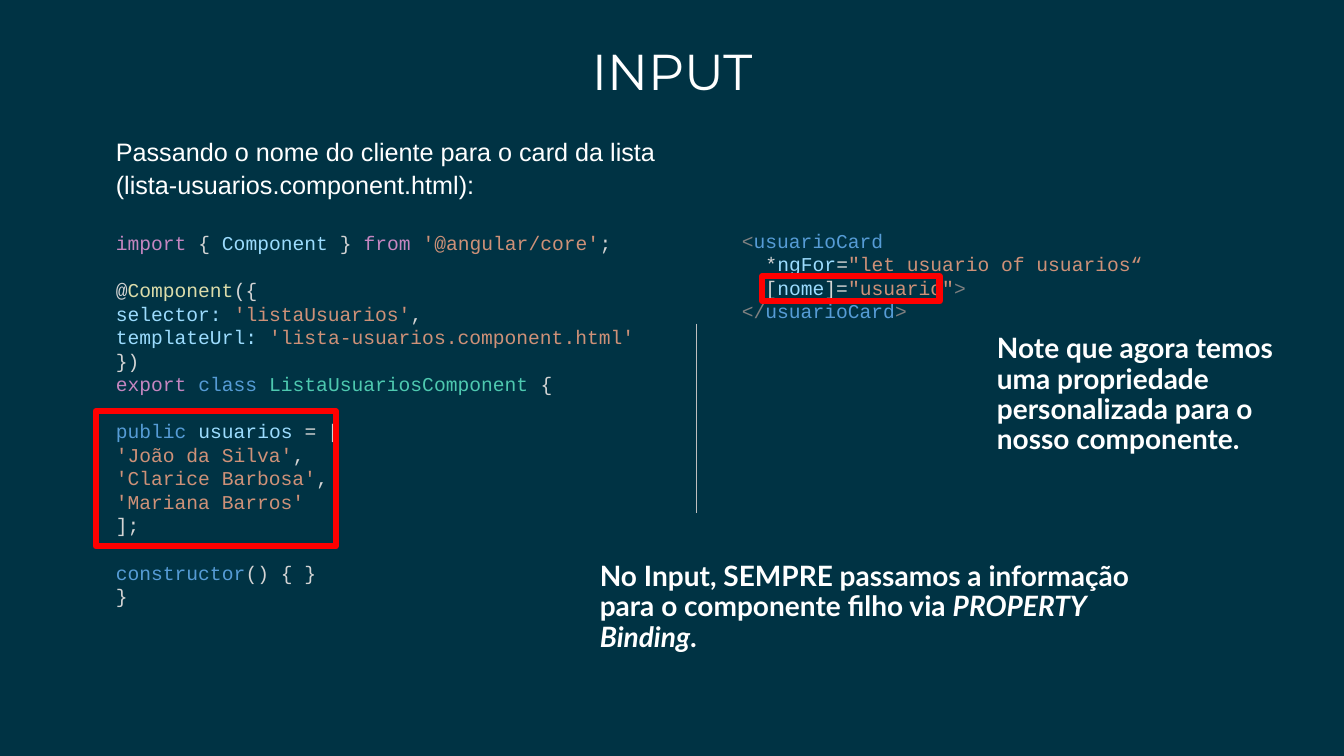
from dataclasses import dataclass
from typing import NamedTuple

from lxml import etree
from pptx import Presentation
from pptx.dml.color import RGBColor
from pptx.enum.shapes import MSO_CONNECTOR, MSO_SHAPE
from pptx.enum.text import MSO_ANCHOR, PP_ALIGN
from pptx.oxml.ns import qn
from pptx.util import Inches, Pt

CENTER = PP_ALIGN.CENTER
MIDDLE = MSO_ANCHOR.MIDDLE
RECTANGLE = MSO_SHAPE.RECTANGLE
STRAIGHT = MSO_CONNECTOR.STRAIGHT

WIDTH, HEIGHT = Inches(13.33), Inches(7.5)
LEFT_MARGIN, FULL_WIDTH = 7.88, 84.25
BLANK_LINE = 16.9

# Colours of the page and of the code syntax
BACKGROUND, WHITE, RED, GRAY = "003344", "FFFFFF", "FF0000", "BFBFBF"
KEYWORD, PLAIN, NAME, STRING = "C586C0", "D4D4D4", "9CDCFE", "CE9178"
DECORATOR, RESERVED, TYPE, BRACKET = "DCDCAA", "569CD6", "4EC9B0", "808080"


class Area(NamedTuple):
    """Percentages of the slide's width and height."""
    left: float
    top: float
    width: float
    height: float


class Span(NamedTuple):
    text: str
    color: str = WHITE
    italic: bool = False


@dataclass
class Line:
    spans: list[Span]
    before: float = 0


@dataclass
class Style:
    font: str
    size: float
    bold: bool = False
    spacing: float = 1.0


@dataclass
class TextBlock:
    area: Area
    style: Style
    lines: list[Line]


CODE = Style("Courier New", 14)
INTRO = Style("Arial", 18, spacing=1.1)
NOTE = Style("Lato", 20, bold=True, spacing=0.9)
TITLE = Style("Montserrat", 36, spacing=0.8)

TITLE_AREA = Area(LEFT_MARGIN, 5.73, FULL_WIDTH, 7.73)
HIGHLIGHTS = [Area(7.13, 54.4, 17.85, 17.87), Area(56.71, 36.53, 13.2, 3.33)]
DIVIDER = Area(51.84, 42.8, 0, 25.07)

COMPONENT_CODE = [
    Line([Span("import", KEYWORD), Span(" { ", PLAIN), Span("Component", NAME),
          Span(" } ", PLAIN), Span("from ", KEYWORD),
          Span("'@angular/core'", STRING), Span(";", PLAIN)]),
    Line([Span("@", PLAIN), Span("Component", DECORATOR), Span("({", PLAIN)],
         BLANK_LINE),
    Line([Span("selector: ", NAME), Span("'listaUsuarios'", STRING),
          Span(",", PLAIN)]),
    Line([Span("templateUrl: ", NAME),
          Span("'lista-usuarios.component.html'", STRING)]),
    Line([Span("})", PLAIN)]),
    Line([Span("export ", KEYWORD), Span("class ", RESERVED),
          Span("ListaUsuariosComponent", TYPE), Span(" {", PLAIN)]),
    Line([Span("public ", RESERVED), Span("usuarios", NAME),
          Span(" = [", PLAIN)], BLANK_LINE),
    Line([Span("'João da Silva'", STRING), Span(",", PLAIN)]),
    Line([Span("'Clarice Barbosa'", STRING), Span(",", PLAIN)]),
    Line([Span("'Mariana Barros'", STRING)]),
    Line([Span("];", PLAIN)]),
    Line([Span("constructor", RESERVED), Span("() { }", PLAIN)], BLANK_LINE),
    Line([Span("}", PLAIN)]),
]

TEMPLATE_CODE = [
    Line([Span("<", BRACKET), Span("usuarioCard", RESERVED)]),
    Line([Span("  *", PLAIN), Span("ngFor", NAME), Span("=", PLAIN),
          Span('"let usuario of usuarios“', STRING)]),
    Line([Span("  [", PLAIN), Span("nome", NAME), Span("]=", PLAIN),
          Span('"usuario"', STRING), Span(">", BRACKET)]),
    Line([Span("</", BRACKET), Span("usuarioCard", RESERVED),
          Span(">", BRACKET)]),
]

BLOCKS = [
    TextBlock(Area(LEFT_MARGIN, 29.87, 41.26, 51.6), CODE, COMPONENT_CODE),
    TextBlock(Area(LEFT_MARGIN, 17, FULL_WIDTH, 9.47), INTRO, [
        Line([Span("Passando o nome do cliente para o card da lista")]),
        Line([Span("(lista-usuarios.component.html):")])]),
    TextBlock(Area(54.46, 29.6, 44.11, 13.87), CODE, TEMPLATE_CODE),
    TextBlock(Area(73.44, 43.6, 25.43, 17.6), NOTE, [
        Line([Span("Note que agora temos uma propriedade personalizada "
                   "para o nosso componente.")])]),
    TextBlock(Area(43.89, 73.73, 43.36, 9.6), NOTE, [
        Line([Span("No Input, SEMPRE passamos a informação para o "
                   "componente filho via "),
              Span("PROPERTY Binding", italic=True), Span(".")])]),
]


def rgb(color: str) -> RGBColor:
    return RGBColor.from_string(color)


def place(area: Area) -> tuple[int, int, int, int]:
    return (round(WIDTH * area.left / 100), round(HEIGHT * area.top / 100),
            round(WIDTH * area.width / 100), round(HEIGHT * area.height / 100))


def write_lines(frame, lines: list[Line], style: Style) -> None:
    frame.word_wrap = True
    for index, line in enumerate(lines):
        para = frame.add_paragraph() if index else frame.paragraphs[0]
        para.line_spacing = style.spacing
        para.space_before = Pt(line.before)
        for span in line.spans:
            run = para.add_run()
            run.text = span.text
            run.font.name = style.font
            run.font.size = Pt(style.size)
            run.font.bold = style.bold
            run.font.italic = span.italic
            run.font.color.rgb = rgb(span.color)


def add_title(page, text: str) -> None:
    title = page.shapes.title
    title.left, title.top, title.width, title.height = place(TITLE_AREA)
    frame = title.text_frame
    frame.margin_left = frame.margin_right = frame.margin_bottom = 0
    frame.margin_top = Inches(0.07)
    frame.vertical_anchor = MIDDLE
    write_lines(frame, [Line([Span(text)])], TITLE)
    frame.paragraphs[0].alignment = CENTER


def add_text(page, block: TextBlock) -> None:
    box = page.shapes.add_textbox(*place(block.area))
    write_lines(box.text_frame, block.lines, block.style)


def add_highlight(page, area: Area) -> None:
    frame = page.shapes.add_shape(RECTANGLE, *place(area))
    frame.shadow.inherit = False
    frame.fill.background()
    frame.line.color.rgb = rgb(RED)
    frame.line.width = Pt(4.5)


def add_divider(page, area: Area) -> None:
    left, top, width, height = place(area)
    divider = page.shapes.add_connector(STRAIGHT, left, top,
                                        left + width, top + height)
    divider.line.color.rgb = rgb(GRAY)
    divider.line.width = Pt(0.75)
    etree.SubElement(divider._element.spPr, qn("a:effectLst"))


def main() -> None:
    deck = Presentation()
    deck.slide_width, deck.slide_height = WIDTH, HEIGHT
    page = deck.slides.add_slide(deck.slide_layouts.get_by_name("Title Only"))
    page.background.fill.solid()
    page.background.fill.fore_color.rgb = rgb(BACKGROUND)

    # Title, code and remarks
    add_title(page, "INPUT")
    for block in BLOCKS:
        add_text(page, block)

    # Line between the columns and frames around the key code
    add_divider(page, DIVIDER)
    for area in HIGHLIGHTS:
        add_highlight(page, area)

    deck.save("out.pptx")


if __name__ == "__main__":
    main()
